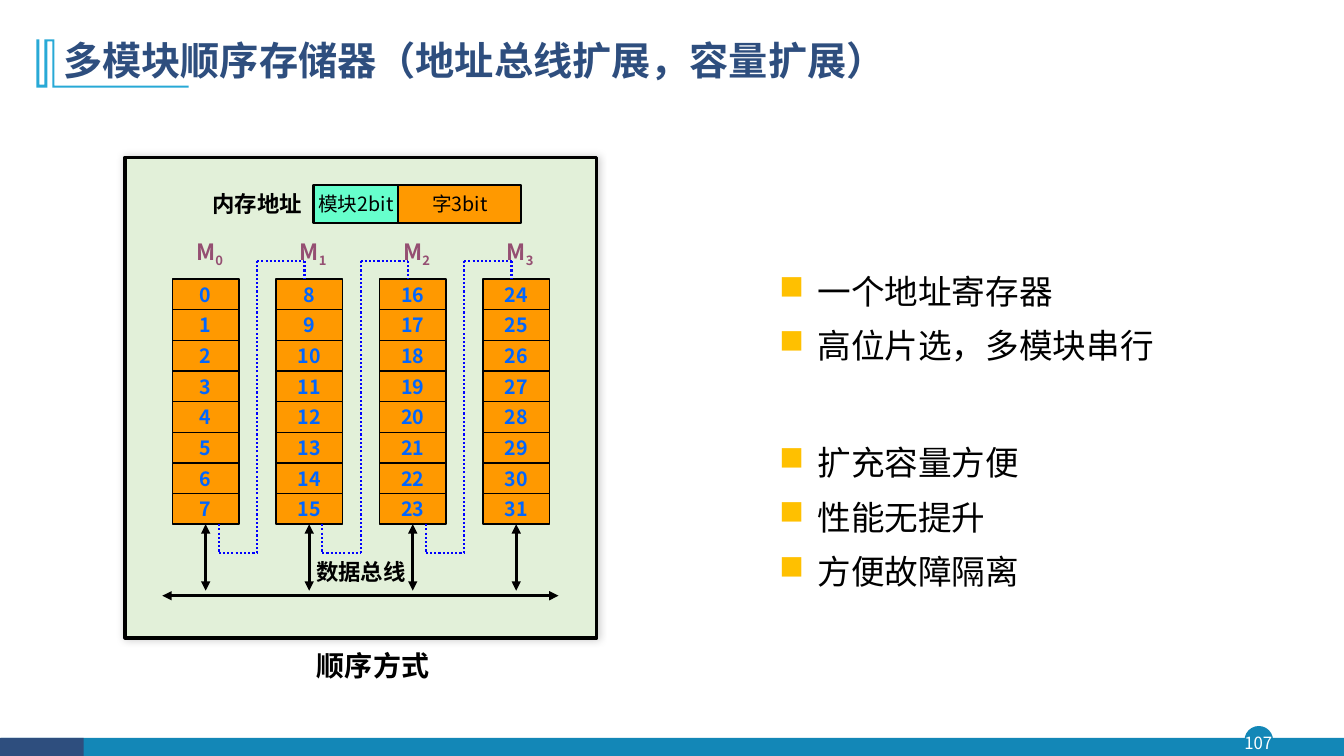
from dataclasses import dataclass
from itertools import chain
from typing import Optional

from lxml import etree
from pptx import Presentation
from pptx.dml.color import RGBColor
from pptx.enum.dml import MSO_LINE
from pptx.enum.shapes import MSO_CONNECTOR, MSO_SHAPE
from pptx.enum.text import MSO_ANCHOR, PP_ALIGN
from pptx.oxml.ns import qn
from pptx.util import Inches, Pt

FONT = "Noto Sans CJK SC"
BLACK, WHITE, BLUE, NAVY, ORANGE = "000000", "FFFFFF", "1387B7", "2E4E7E", "FF9900"

MODULES, WORDS = 4, 8
COLUMN_LEFT, COLUMN_TOP, COLUMN_BOTTOM = 1.71, 2.77, 5.2
COLUMN_STEP = (4.79 - COLUMN_LEFT) / (MODULES - 1)
CELL_W, CELL_H = 0.66, (COLUMN_BOTTOM - COLUMN_TOP) / WORDS


@dataclass
class Style:
    size: float
    color: str = BLACK
    bold: bool = False


@dataclass
class Label:
    text: str
    left: float
    top: float
    width: float
    height: float
    style: Style
    align: PP_ALIGN = PP_ALIGN.CENTER
    anchor: MSO_ANCHOR = MSO_ANCHOR.TOP
    inset: Optional[float] = None
    line_spacing: Optional[float] = None


@dataclass
class Box:
    left: float
    top: float
    width: float
    height: float
    fill: str
    line: Optional[str] = None
    weight: float = 1
    shape: MSO_SHAPE = MSO_SHAPE.RECTANGLE
    text: str = ""
    style: Optional[Style] = None


@dataclass
class Bullet:
    text: str
    space_before: float = 10


def rgb(color: str) -> RGBColor:
    return RGBColor.from_string(color)


def child(parent, tag: str, **attributes: str):
    element = etree.SubElement(parent, qn(tag))
    for name, value in attributes.items():
        element.set(name, value)
    return element


def format_run(r, style: Style) -> None:
    r.font.name, r.font.size, r.font.bold = FONT, Pt(style.size), style.bold
    r.font.color.rgb = rgb(style.color)
    child(r._r.get_or_add_rPr(), "a:ea", typeface=FONT)


def add_label(s, label: Label):
    sp = s.shapes.add_textbox(*map(Inches, (label.left, label.top, label.width, label.height)))
    tf = sp.text_frame
    tf.word_wrap, tf.vertical_anchor = True, label.anchor
    if label.inset is not None:
        tf.margin_left = tf.margin_right = tf.margin_top = tf.margin_bottom = Inches(label.inset)
    tf.text = label.text
    p = tf.paragraphs[0]
    p.alignment, p.line_spacing = label.align, label.line_spacing
    format_run(p.runs[0], label.style)
    return sp


def add_box(s, box: Box):
    sp = s.shapes.add_shape(box.shape, *map(Inches, (box.left, box.top, box.width, box.height)))
    sp.shadow.inherit = False
    sp.fill.solid()
    sp.fill.fore_color.rgb = rgb(box.fill)
    if box.line:
        sp.line.color.rgb, sp.line.width = rgb(box.line), Pt(box.weight)
    else:
        sp.line.fill.background()
    if box.text:
        tf = sp.text_frame
        tf.word_wrap, tf.vertical_anchor = False, MSO_ANCHOR.MIDDLE
        tf.text = box.text
        p = tf.paragraphs[0]
        p.alignment = PP_ALIGN.CENTER
        format_run(p.runs[0], box.style)
    return sp


def add_line(s, start: tuple, end: tuple, color: str, weight: float):
    line = s.shapes.add_connector(MSO_CONNECTOR.STRAIGHT, *map(Inches, start + end))
    line.line.color.rgb, line.line.width = rgb(color), Pt(weight)
    child(line._element.spPr, "a:effectLst")
    return line


def add_double_arrow(s, start: tuple, end: tuple):
    arrow = add_line(s, start, end, BLACK, 2.25)
    ln = arrow.line._get_or_add_ln()
    for tag in ("a:headEnd", "a:tailEnd"):
        child(ln, tag, type="triangle")
    return arrow


def add_frame(s) -> None:
    """Footer band, page number, title and the title's corner mark."""
    add_box(s, Box(12.35, 7.21, 0.27, 0.27, BLUE, BLUE, shape=MSO_SHAPE.OVAL))
    add_box(s, Box(0.01, 7.32, 13.32, 0.19, BLUE))
    add_box(s, Box(0, 7.32, 0.83, 0.19, NAVY))
    add_label(s, Label("107", 12.32, 7.21, 0.32, 0.31, Style(12, WHITE),
                       anchor=MSO_ANCHOR.MIDDLE, inset=0))
    corner = [(54, 39), (54, 85), (187, 85), (187, 87), (52, 87), (52, 41), (47, 41), (47, 87),
              (36, 87), (36, 39), (39, 39), (39, 84), (44, 84), (44, 39)]
    builder = s.shapes.build_freeform(*corner[0], scale=Inches(0.01))
    builder.add_line_segments(corner[1:], close=True)
    mark = builder.convert_to_shape()
    mark.shadow.inherit = False
    mark.fill.solid()
    mark.fill.fore_color.rgb = rgb("28A9D6")
    mark.line.fill.background()
    add_label(s, Label("多模块顺序存储器（地址总线扩展，容量扩展）", 0.53, 0.28, 11.5, 0.68,
                       Style(28, NAVY, True), PP_ALIGN.LEFT, MSO_ANCHOR.MIDDLE, line_spacing=0.9))


def add_bullets(s, bullets: list[Bullet]) -> None:
    tf = s.shapes.add_textbox(*map(Inches, (7.63, 2.64, 4.08, 3.73))).text_frame
    tf.word_wrap = True
    tf.text = "\n".join(bullet.text for bullet in bullets)
    for p, bullet in zip(tf.paragraphs, bullets):
        pPr = p._p.get_or_add_pPr()
        pPr.set("marL", str(Inches(0.38)))
        pPr.set("indent", str(-Inches(0.38)))
        child(child(pPr, "a:buClr"), "a:srgbClr", val="FFC000")
        child(pPr, "a:buFont", typeface="Wingdings")
        child(pPr, "a:buChar", char="n")
        p.line_spacing, p.space_before = 1.0, Pt(bullet.space_before)
        format_run(p.runs[0], Style(24))


def add_panel(s) -> None:
    panel = add_box(s, Box(1.24, 1.56, 4.68, 4.77, "E2F0D9", BLACK, 2.25))
    effects = panel._element.spPr.find(qn("a:effectLst"))
    shadow = child(effects, "a:outerShdw", blurRad=str(Pt(6)), dist="0", dir="18900000")
    child(child(shadow, "a:srgbClr", val=BLACK), "a:alpha", val="20000")


def add_module(s, module: int) -> None:
    """One column of words with its name and its arrow to the data bus."""
    left = COLUMN_LEFT + module * COLUMN_STEP
    for word in range(WORDS):
        cell = add_box(s, Box(left, COLUMN_TOP + word * CELL_H, CELL_W, CELL_H, ORANGE, BLACK,
                              text=str(module * WORDS + word), style=Style(14, "0066FF", True)))
    middle = left + CELL_W / 2
    arrow = add_double_arrow(s, (middle, COLUMN_BOTTOM), (middle, 5.86))
    arrow.begin_connect(cell, 2)
    name_style = Style(16, "954F72", True)
    name = add_label(s, Label("M", left + 0.09, 2.31, 0.56, 0.37, name_style))
    r = name.text_frame.paragraphs[0].add_run()
    r.text = str(module)
    format_run(r, name_style)
    r._r.get_or_add_rPr().set("baseline", "-25000")


def add_wire(s, module: int) -> None:
    """Dotted path from the end of one module to the start of the next."""
    left = COLUMN_LEFT + module * COLUMN_STEP
    x1, x2, x3 = left + 0.46, left + 0.84, left + 1.31
    points = [(x1, COLUMN_BOTTOM), (x1, 5.49), (x2, 5.49), (x2, 2.59), (x3, 2.59), (x3, COLUMN_TOP)]
    for start, end in zip(points, points[1:]):
        add_line(s, start, end, "0000FF", 1.5).line.dash_style = MSO_LINE.ROUND_DOT


def main() -> None:
    prs = Presentation()
    prs.slide_width, prs.slide_height = Inches(13.33), Inches(7.5)
    s = prs.slides.add_slide(prs.slide_layouts[6])
    add_frame(s)
    add_bullets(s, [Bullet("一个地址寄存器", 0), Bullet("高位片选，多模块串行"),
                    Bullet("扩充容量方便", 54.75), Bullet("性能无提升"), Bullet("方便故障隔离")])
    add_panel(s)
    for module in range(MODULES):
        add_module(s, module)
    for module in range(MODULES - 1):
        add_wire(s, module)
    add_double_arrow(s, (1.61, 5.91), (5.54, 5.91))
    add_box(s, Box(3.11, 1.84, 0.84, 0.37, "66FFCC", BLACK, 1.5, text="模块2bit", style=Style(14)))
    add_box(s, Box(3.95, 1.84, 1.22, 0.37, ORANGE, BLACK, 1.5, text="字3bit", style=Style(14)))
    bold = Style(16, bold=True)
    add_label(s, Label("内存地址", 1.94, 1.84, 1.22, 0.37, bold))
    add_label(s, Label("数据总线", 2.97, 5.49, 1.22, 0.37, bold))
    add_label(s, Label("顺序方式", 2.86, 6.38, 1.68, 0.44, Style(20, bold=True)))
    prs.save("out.pptx")


if __name__ == "__main__":
    main()
